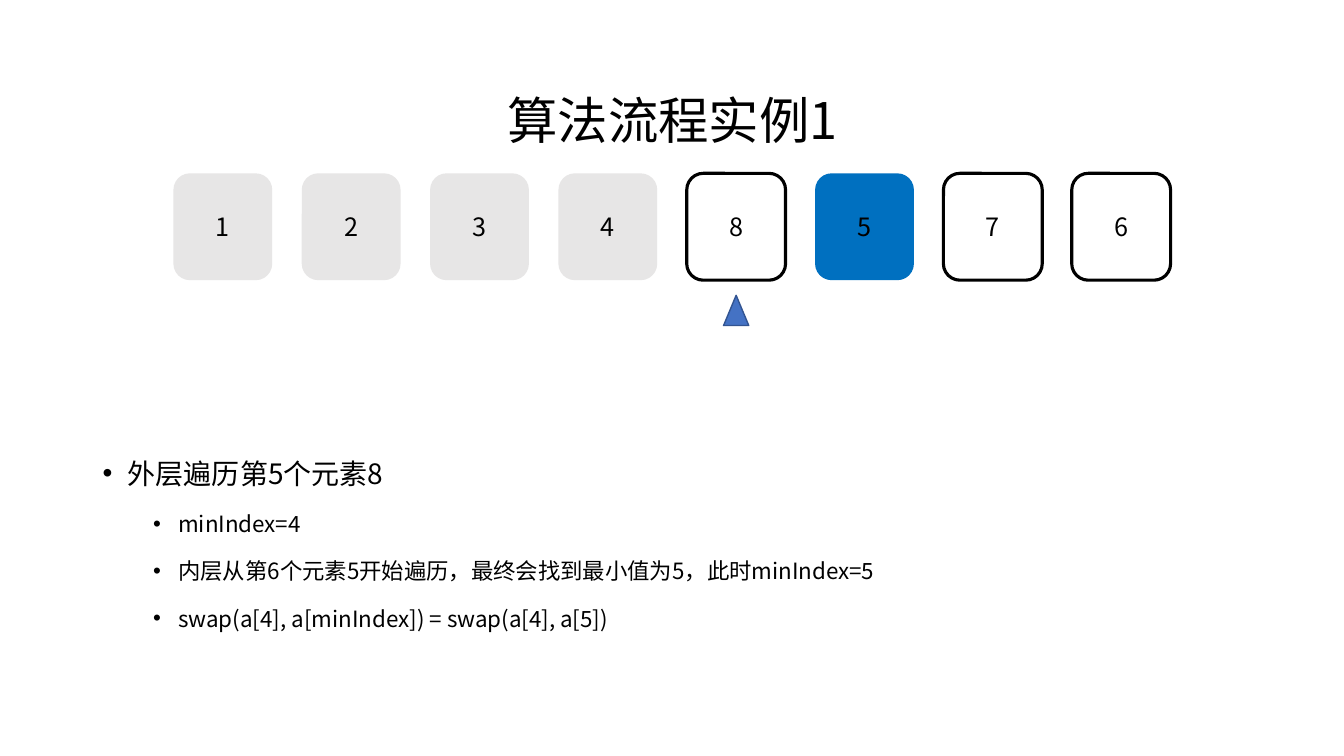
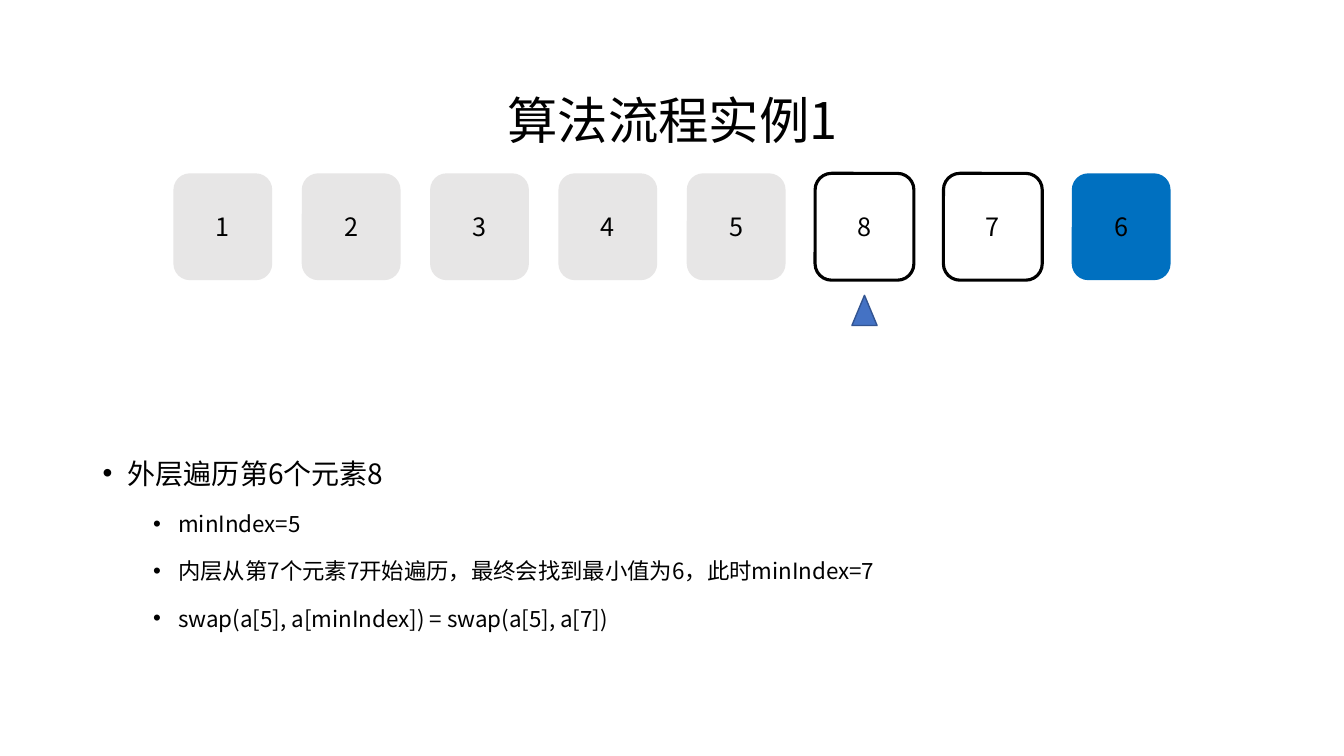
from dataclasses import dataclass

from lxml.etree import SubElement
from pptx import Presentation
from pptx.dml.color import RGBColor
from pptx.enum.shapes import MSO_SHAPE
from pptx.enum.text import MSO_ANCHOR, PP_ALIGN
from pptx.oxml.ns import qn
from pptx.util import Inches, Pt


@dataclass(frozen=True)
class Theme:
    font: str = "Noto Sans CJK SC"
    ink: RGBColor = RGBColor(0, 0, 0)
    done: RGBColor = RGBColor(0xE7, 0xE6, 0xE6)
    low: RGBColor = RGBColor(0x00, 0x70, 0xC0)
    mark: RGBColor = RGBColor(0x44, 0x72, 0xC4)
    edge: RGBColor = RGBColor(0x32, 0x54, 0x91)
    title: Pt = Pt(36)
    lead: Pt = Pt(20)
    cell: Pt = Pt(18)
    point: Pt = Pt(16)


theme = Theme()


def write(para, text, size):
    """Add one run in the theme font, for Latin and East Asian text alike."""
    run = para.add_run()
    run.text = text
    run.font.size = size
    run.font.name = theme.font
    run.font.color.rgb = theme.ink
    SubElement(run.font._element, qn("a:ea"), typeface=theme.font)


def bullet(para, level):
    """Set a dot, a hanging indent and the spacing of a list level."""
    para.level = level
    para.line_spacing = 1.5
    props = para._p.get_or_add_pPr()
    props.set("marL", str(Inches(0.25 + 0.5 * level)))
    props.set("indent", str(Inches(-0.25)))
    SubElement(props, qn("a:buFont"), typeface="Arial")
    SubElement(props, qn("a:buChar"), char="•")


deck = Presentation()
deck.slide_width = Inches(13.33)
deck.slide_height = Inches(7.5)

# Row of cells: equal steps from the first left edge to the last
wide, high = 0.98, 1.06
left, top = 1.72, 1.72
nums = [1, 2, 3, 4, 8, 5, 7, 6]
step = (10.63 - left) / (len(nums) - 1)

for turn in (4, 5):
    low = nums.index(min(nums[turn:]))
    slide = deck.slides.add_slide(deck.slide_layouts[6])

    # Explanation
    box = slide.shapes.add_textbox(Inches(0.92), Inches(4.31), Inches(11.5), Inches(2.79))
    frame = box.text_frame
    frame.word_wrap = True
    para = frame.paragraphs[0]
    bullet(para, 0)
    write(para, f"外层遍历第{turn + 1}个元素{nums[turn]}", theme.lead)
    points = (
        f"minIndex={turn}",
        f"内层从第{turn + 2}个元素{nums[turn + 1]}开始遍历，"
        f"最终会找到最小值为{nums[low]}，此时minIndex={low}",
        f"swap(a[{turn}], a[minIndex]) = swap(a[{turn}], a[{low}])",
    )
    for text in points:
        para = frame.add_paragraph()
        bullet(para, 1)
        para.space_before = Pt(5)
        write(para, text, theme.point)

    # Title
    box = slide.shapes.add_textbox(Inches(0.92), Inches(0.4), Inches(11.5), Inches(1.45))
    frame = box.text_frame
    frame.word_wrap = True
    frame.vertical_anchor = MSO_ANCHOR.MIDDLE
    para = frame.paragraphs[0]
    para.alignment = PP_ALIGN.CENTER
    para.line_spacing = 1.2
    write(para, "算法流程实例1", theme.title)

    # Cells: sorted ones grey, the smallest left blue, the rest outlined
    for slot, num in enumerate(nums):
        cell = slide.shapes.add_shape(
            MSO_SHAPE.ROUNDED_RECTANGLE,
            Inches(left + slot * step), Inches(top), Inches(wide), Inches(high))
        cell.shadow.inherit = False
        if slot < turn or slot == low:
            cell.fill.solid()
            cell.fill.fore_color.rgb = theme.low if slot == low else theme.done
            cell.line.fill.background()
        else:
            cell.fill.background()
            cell.line.color.rgb = theme.ink
            cell.line.width = Pt(2.25)
        cell.text_frame.vertical_anchor = MSO_ANCHOR.MIDDLE
        para = cell.text_frame.paragraphs[0]
        para.alignment = PP_ALIGN.CENTER
        write(para, str(num), theme.cell)

    # Pointer centred under the current cell
    mark = slide.shapes.add_shape(
        MSO_SHAPE.ISOSCELES_TRIANGLE,
        Inches(left + turn * step + (wide - 0.25) / 2), Inches(2.93),
        Inches(0.25), Inches(0.3))
    mark.shadow.inherit = False
    mark.fill.solid()
    mark.fill.fore_color.rgb = theme.mark
    mark.line.color.rgb = theme.edge
    mark.line.width = Pt(1)

    nums[turn], nums[low] = nums[low], nums[turn]

deck.save("out.pptx")
